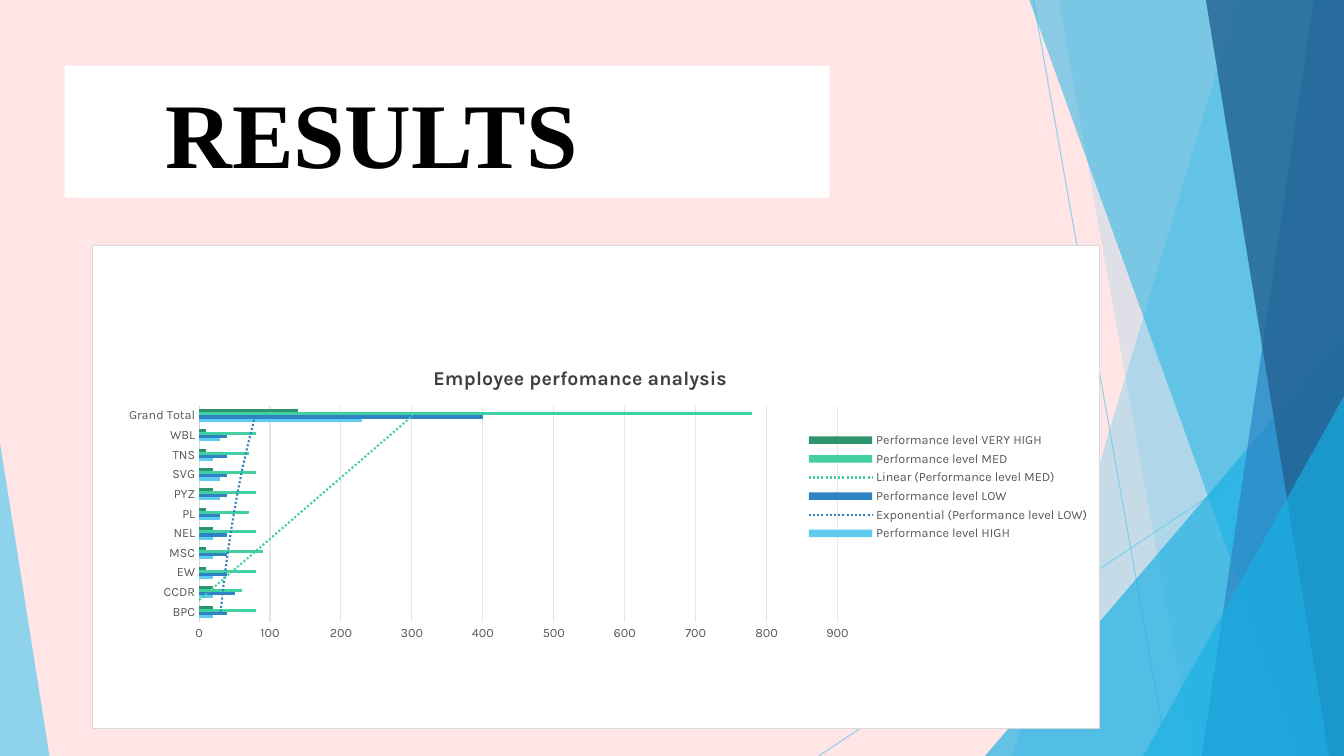
from pptx import Presentation
from pptx.chart.data import CategoryChartData
from pptx.dml.color import RGBColor
from pptx.enum.chart import XL_CHART_TYPE, XL_LEGEND_POSITION, XL_TICK_MARK
from pptx.enum.shapes import MSO_CONNECTOR, MSO_SHAPE
from pptx.enum.text import MSO_ANCHOR, PP_ALIGN
from pptx.oxml import parse_xml
from pptx.oxml.ns import nsdecls, qn
from pptx.util import Inches, Pt
from lxml.etree import SubElement

COLORS = {
    "background": "FFE5E5", "white": "FFFFFF", "black": "000000",
    "sky": "5FCBEF", "cyan": "17B0E4", "blue": "2E83C3", "navy": "226292",
    "mint": "42D0A2", "green": "2E946B",
    "label": "595959", "title": "404040", "border": "D9D9D9", "grid": "E6E6E6",
}
CHART_FONT = "Karla"
WIDTH, HEIGHT = Inches(13.33), Inches(7.5)

# Places are percentages of the slide's width and height.
RAYS = [((76.89, 0), (86.87, 100)), ((100, 53.73), (60.92, 100))]
# Bands run to the right edge: x at top, x at bottom, colour, opacity.
# Wedges stand on the bottom edge: left, top, width, apex, colour, opacity.
FACETS = [
    ("band", (92.12, 75.32), "sky", 36),
    ("band", (78.77, 88.75), "sky", 20),
    ("wedge", (73.29, 44.4, 26.71, 1), "cyan", 66),
    ("band", (76.59, 96.85), "cyan", 50),
    ("band", (97.75, 89.42), "blue", 70),
    ("band", (89.72, 98.87), "navy", 80),
    ("wedge", (85.07, 52.4, 14.93, 1), "cyan", 66),
    ("wedge", (0, 58.53, 3.68, 0), "sky", 70),
]
HEADING, HEADING_BOX = "RESULTS", (4.8, 8.67, 56.94, 17.47)
CHART_TITLE, CHART_BOX = "Employee perfomance analysis", (6.83, 32.4, 75.02, 64)
TEAMS = ["BPC", "CCDR", "EW", "MSC", "NEL", "PL", "PYZ", "SVG", "TNS", "WBL",
         "Grand Total"]
LEVELS = [  # name, colour, trend, values
    ("HIGH", "sky", None, (20, 20, 20, 20, 20, 30, 30, 30, 20, 30, 230)),
    ("LOW", "blue", "exp", (40, 50, 40, 40, 40, 30, 40, 40, 40, 40, 400)),
    ("MED", "mint", "linear", (80, 60, 80, 90, 80, 70, 80, 80, 70, 80, 780)),
    ("VERY HIGH", "green", None, (20, 20, 10, 10, 20, 10, 20, 20, 10, 10, 140)),
]


def rgb(name):
    return RGBColor.from_string(COLORS[name])


def place(*percents):
    """Turn alternating x and y percentages into slide lengths."""
    return [int((HEIGHT if i % 2 else WIDTH) * p / 100) for i, p in enumerate(percents)]


def set_opacity(element, percent):
    for color in element.spPr.iter(qn("a:srgbClr")):
        SubElement(color, qn("a:alpha"), val=str(percent * 1000))


def paint(shape, color):
    shape.shadow.inherit = False
    shape.fill.solid()
    shape.fill.fore_color.rgb = rgb(color)
    shape.line.fill.background()


def style_font(font, size, color, name=CHART_FONT, bold=False):
    font.size, font.name, font.bold = Pt(size), name, bold
    font.color.rgb = rgb(color)


def add_rays(page):
    for start, end in RAYS:
        ray = page.shapes.add_connector(MSO_CONNECTOR.STRAIGHT, *place(*start, *end))
        ray.line.width = Pt(0.75)
        ray.line.color.rgb = rgb("sky")
        set_opacity(ray.element, 70)
        SubElement(ray.element.spPr, qn("a:effectLst"))


def add_facets(page):
    for kind, geometry, color, opacity in FACETS:
        if kind == "band":
            top, bottom = geometry
            outline = page.shapes.build_freeform(*place(top, 0))
            corners = [(100, 0), (100, 100), (bottom, 100)]
            outline.add_line_segments([place(*corner) for corner in corners])
            facet = outline.convert_to_shape()
        else:
            left, top, width, apex = geometry
            facet = page.shapes.add_shape(
                MSO_SHAPE.ISOSCELES_TRIANGLE, *place(left, top, width, 100 - top))
            facet.adjustments[0] = apex
        paint(facet, color)
        set_opacity(facet.element, opacity)


def add_heading(page):
    box = page.shapes.add_shape(MSO_SHAPE.RECTANGLE, *place(*HEADING_BOX))
    paint(box, "white")
    frame = box.text_frame
    frame.word_wrap = True
    frame.vertical_anchor = MSO_ANCHOR.MIDDLE
    frame.margin_left = Inches(1)
    para = frame.paragraphs[0]
    para.alignment = PP_ALIGN.LEFT
    span = para.add_run()
    span.text = HEADING
    style_font(span.font, 66, "black", name="Times New Roman", bold=True)


def manual_layout(inner=False, **shares):
    parts = '<c:layoutTarget val="inner"/>' if inner else ""
    parts += "".join(f'<c:{key}Mode val="edge"/>' for key in "xy")
    parts += "".join(f'<c:{key} val="{share}"/>' for key, share in shares.items())
    return parse_xml(f'<c:layout {nsdecls("c")}><c:manualLayout>{parts}'
                     '</c:manualLayout></c:layout>')


def line_xml(color, points, dash="solid"):
    return (f'<a:ln w="{Pt(points)}"><a:solidFill><a:srgbClr val="{COLORS[color]}"/>'
            f'</a:solidFill><a:prstDash val="{dash}"/></a:ln>')


def add_chart_xml(chart):
    """Set the layout, frame and trend lines of the chart."""
    root = chart.element
    for layout in root.xpath("c:chart/c:title/c:layout | c:chart/c:plotArea/c:layout"):
        layout.getparent().remove(layout)
    root.xpath("c:chart/c:title/c:tx")[0].addnext(manual_layout(x=0.335, y=0.24))
    root.xpath("c:chart/c:plotArea")[0].insert(
        0, manual_layout(inner=True, x=0.106, y=0.332, w=0.634, h=0.448))
    root.xpath("c:chart")[0].addnext(parse_xml(
        f'<c:spPr {nsdecls("c", "a")}><a:solidFill><a:srgbClr val="{COLORS["white"]}"/>'
        f'</a:solidFill>{line_xml("border", 0.75)}</c:spPr>'))
    for series, (_, color, trend, _) in zip(root.xpath("//c:ser"), LEVELS):
        if trend:
            series.xpath("c:cat")[0].addprevious(parse_xml(
                f'<c:trendline {nsdecls("c", "a")}>'
                f'<c:spPr>{line_xml(color, 1.5, "sysDot")}</c:spPr>'
                f'<c:trendlineType val="{trend}"/><c:dispRSqr val="0"/>'
                '<c:dispEq val="0"/></c:trendline>'))


def add_performance_chart(page):
    data = CategoryChartData()
    data.categories = TEAMS
    for level, _, _, values in LEVELS:
        data.add_series(f"Performance level {level}", values)
    chart = page.shapes.add_chart(
        XL_CHART_TYPE.BAR_CLUSTERED, *place(*CHART_BOX), data).chart
    style_font(chart.font, 10, "black")

    chart.has_title = True
    span = chart.chart_title.text_frame.paragraphs[0].add_run()
    span.text = CHART_TITLE
    style_font(span.font, 14, "title", bold=True)

    chart.has_legend = True
    chart.legend.position = XL_LEGEND_POSITION.RIGHT
    chart.legend.include_in_layout = False
    style_font(chart.legend.font, 9, "label")

    plot = chart.plots[0]
    plot.gap_width, plot.overlap, plot.vary_by_categories = 246, 0, False
    for series, (_, color, _, _) in zip(plot.series, LEVELS):
        series.format.fill.solid()
        series.format.fill.fore_color.rgb = rgb(color)

    teams, scores = chart.category_axis, chart.value_axis
    for axis in (teams, scores):
        axis.major_tick_mark = axis.minor_tick_mark = XL_TICK_MARK.NONE
        style_font(axis.tick_labels.font, 9, "label")
    scores.minimum_scale, scores.maximum_scale, scores.major_unit = 0, 900, 100
    scores.has_major_gridlines = True
    scores.format.line.fill.background()
    for line, color in ((teams.format.line, "border"),
                        (scores.major_gridlines.format.line, "grid")):
        line.width = Pt(0.75)
        line.color.rgb = rgb(color)
    add_chart_xml(chart)


def main():
    deck = Presentation()
    deck.slide_width, deck.slide_height = WIDTH, HEIGHT
    page = deck.slides.add_slide(deck.slide_layouts[6])
    page.background.fill.solid()
    page.background.fill.fore_color.rgb = rgb("background")
    add_rays(page)
    add_facets(page)
    add_heading(page)
    add_performance_chart(page)
    deck.save("out.pptx")


if __name__ == "__main__":
    main()
